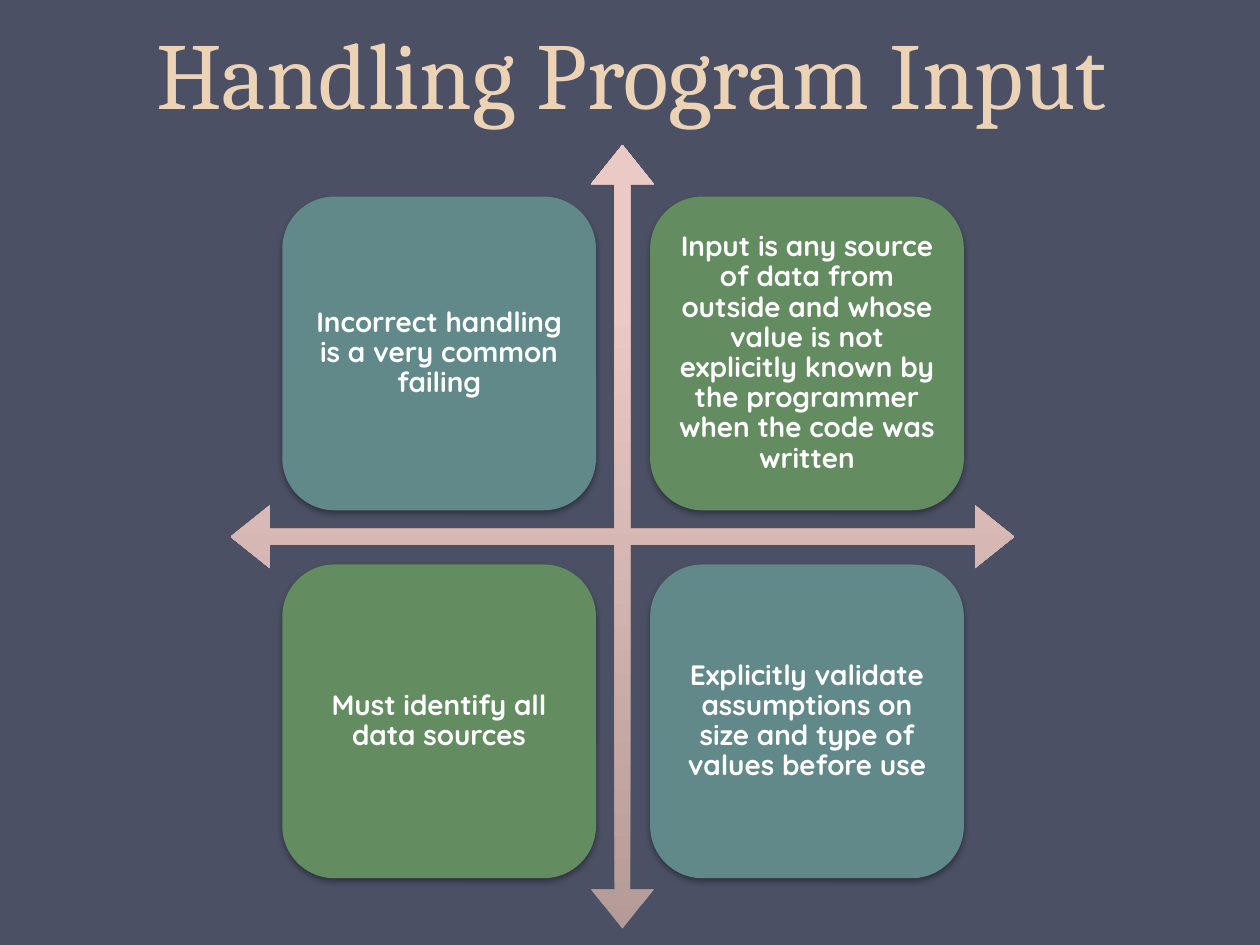
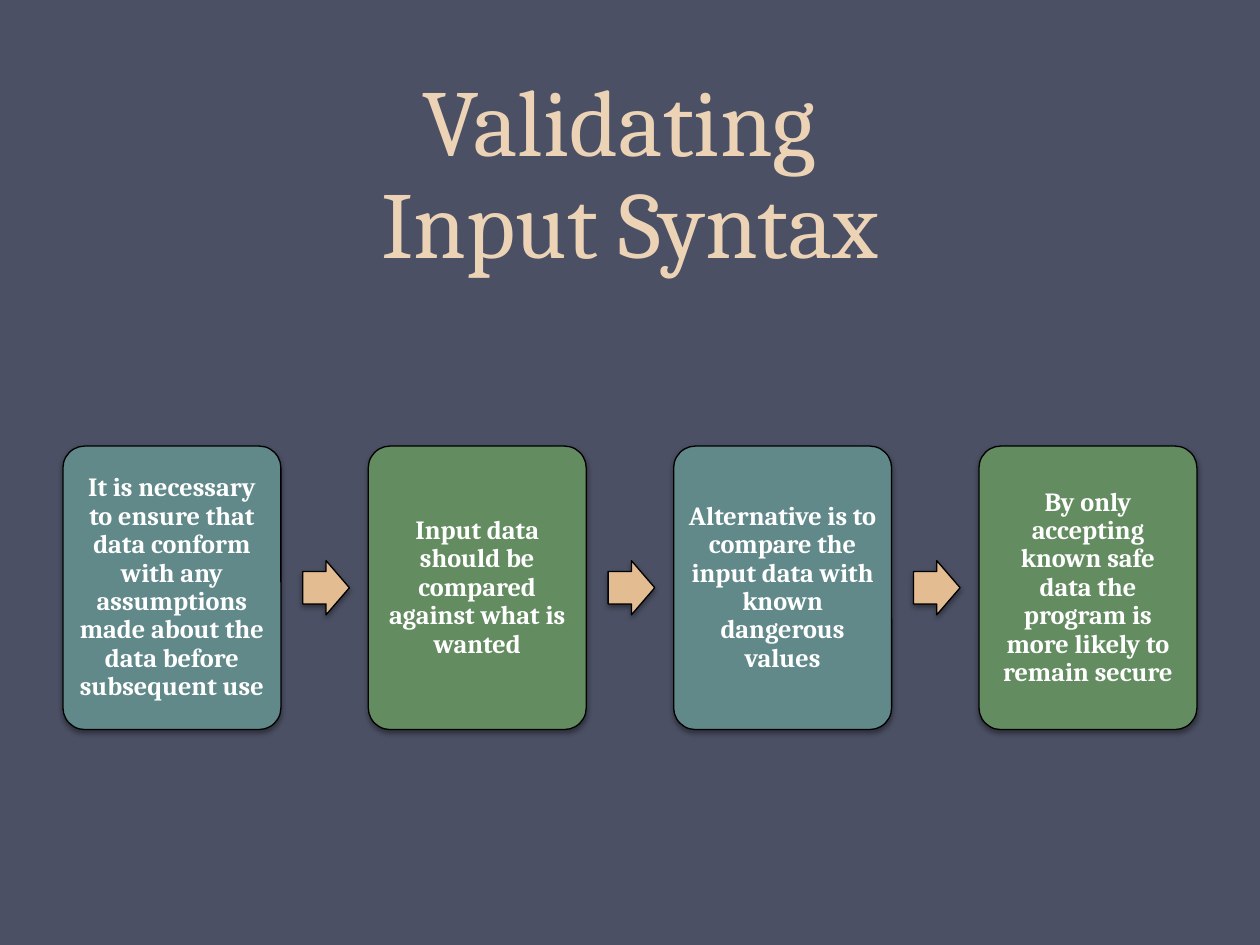
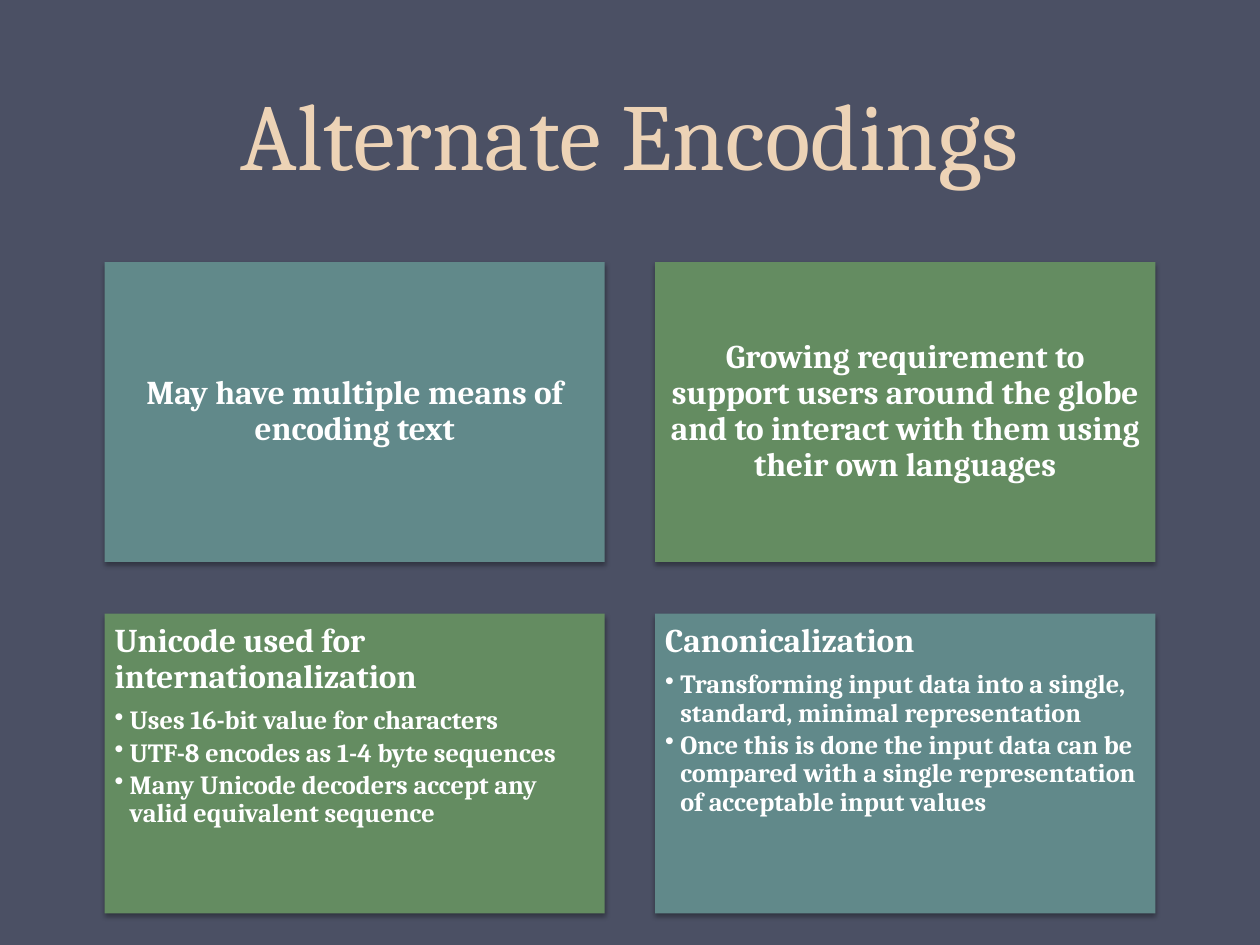
from dataclasses import dataclass

from lxml.etree import SubElement
from pptx import Presentation
from pptx.dml.color import RGBColor
from pptx.enum.shapes import MSO_SHAPE
from pptx.enum.text import MSO_ANCHOR, PP_ALIGN
from pptx.oxml.ns import qn
from pptx.util import Inches, Pt


@dataclass(frozen=True)
class Theme:
    """Colours, fonts and type sizes shared by all slides."""

    background: str = "4B5064"
    title: str = "EDD3B6"
    text: str = "FFFFFF"
    outline: str = "000000"
    arrow: str = "E3BC92"
    cards: tuple = ("61898A", "648C61")
    axes: tuple = ((0, "B59B97"), (80, "EBC9C5"), (100, "EDC9C5"))
    serif: str = "Cambria"
    sans: str = "Quicksand"
    title_size: int = 54
    title_leading: int = 58
    quadrant_size: int = 16
    step_size: int = 15
    panel_size: int = 19
    bullet_size: int = 15


def write(frame, text, *, size, color, font, bold=True, align=PP_ALIGN.CENTER,
          leading=0.9, after=0, bullet=False, first=False):
    """Write one paragraph, with a line break at each newline."""
    para = frame.paragraphs[0] if first else frame.add_paragraph()
    para.alignment = align
    para.line_spacing = leading
    para.space_after = Pt(after)
    if bullet:
        para.level = 1
        properties = para._p.get_or_add_pPr()
        properties.set("marL", str(Inches(0.12)))
        properties.set("indent", str(-Inches(0.12)))
        SubElement(properties, qn("a:buChar"), char="•")
    for number, line in enumerate(text.split("\n")):
        if number:
            para.add_line_break()
        span = para.add_run()
        span.text = line
        span.font.size = Pt(size)
        span.font.name = font
        span.font.bold = bold
        span.font.color.rgb = RGBColor.from_string(color)


class SlideBuilder:
    """Holds the theme, the deck and the slide being built."""

    def __init__(self, theme):
        """Start an empty 10 by 7.5 inch deck."""
        self.theme = theme
        self.deck = Presentation()
        self.deck.slide_width, self.deck.slide_height = Inches(10), Inches(7.5)
        self.page = None

    def new_page(self, title, left, top, width, height):
        """Add a slide with its background and title."""
        theme = self.theme
        self.page = self.deck.slides.add_slide(self.deck.slide_layouts[6])
        fill = self.page.background.fill
        fill.solid()
        fill.fore_color.rgb = RGBColor.from_string(theme.background)
        box = self.page.shapes.add_textbox(*map(Inches, (left, top, width, height)))
        frame = box.text_frame
        frame.word_wrap = True
        frame.vertical_anchor = MSO_ANCHOR.BOTTOM
        write(frame, title, size=theme.title_size, color=theme.title, font=theme.serif,
              bold=False, leading=Pt(theme.title_leading), first=True)

    def shape(self, kind, place, color, adjustments=(), outlined=False, shadow=True):
        """Add a filled preset shape with an optional outline and shadow."""
        shape = self.page.shapes.add_shape(kind, *map(Inches, place))
        for index, value in enumerate(adjustments):
            shape.adjustments[index] = value
        shape.fill.solid()
        shape.fill.fore_color.rgb = RGBColor.from_string(color)
        if outlined:
            shape.line.color.rgb = RGBColor.from_string(self.theme.outline)
            shape.line.width = Pt(0.75)
        else:
            shape.line.fill.background()
        shape.shadow.inherit = False
        if shadow:
            self.cast_shadow(shape, 38 if outlined else 35, 1.6 if outlined else 1.8)
        return shape

    def cast_shadow(self, shape, opacity, distance):
        """Give a shape a soft shadow straight below it."""
        effects = shape._element.spPr.find(qn("a:effectLst"))
        outer = SubElement(effects, qn("a:outerShdw"), blurRad=str(Pt(3.1)),
                           dist=str(Pt(distance)), dir="5400000", rotWithShape="0")
        color = SubElement(outer, qn("a:srgbClr"), val=self.theme.outline)
        SubElement(color, qn("a:alpha"), val=str(opacity * 1000))

    def axes(self, left, top, size):
        """Add the crossed arrows with a gradient rising from the bottom."""
        cross = self.shape(MSO_SHAPE.QUAD_ARROW, (left, top, size, size),
                           self.theme.axes[0][1], (0.02, 0.04, 0.05), shadow=False)
        solid = cross._element.spPr.find(qn("a:solidFill"))
        gradient = solid.makeelement(qn("a:gradFill"), {"rotWithShape": "1"})
        stops = SubElement(gradient, qn("a:gsLst"))
        for position, color in self.theme.axes:
            stop = SubElement(stops, qn("a:gs"), pos=str(position * 1000))
            SubElement(stop, qn("a:srgbClr"), val=color)
        SubElement(gradient, qn("a:lin"), ang="16200000", scaled="0")
        solid.getparent().replace(solid, gradient)

    def card(self, kind, place, tone, text, size, font, inset, bullets=(), **look):
        """Add a card with centred text, or a heading above bullets."""
        theme = self.theme
        shape = self.shape(kind, place, theme.cards[tone % 2], **look)
        frame = shape.text_frame
        frame.word_wrap = True
        frame.margin_left = frame.margin_right = Inches(inset)
        frame.margin_top = frame.margin_bottom = Inches(inset)
        frame.vertical_anchor = MSO_ANCHOR.TOP if bullets else MSO_ANCHOR.MIDDLE
        style = {"color": theme.text, "font": font,
                 "align": PP_ALIGN.LEFT if bullets else PP_ALIGN.CENTER}
        write(frame, text, size=size, after=0.35 * size, first=True, **style)
        for bullet in bullets:
            write(frame, bullet, size=theme.bullet_size, after=0.15 * theme.bullet_size,
                  bullet=True, **style)


def build_input_page(builder):
    """Build the four quadrants around crossed arrows."""
    theme = builder.theme
    builder.new_page("Handling Program Input", 0.51, -0.58, 9, 1.65)
    builder.axes(1.83, 1.15, 6.22)
    quadrants = (
        "Incorrect handling is a very common failing",
        "Input is any source of data from outside and whose value is not explicitly "
        "known by the programmer when the code was written",
        "Must identify all data sources",
        "Explicitly validate assumptions on size and type of values before use",
    )
    for index, text in enumerate(quadrants):
        row, column = divmod(index, 2)
        place = (2.24 + 2.92 * column, 1.56 + 2.92 * row, 2.49, 2.49)
        builder.card(MSO_SHAPE.ROUNDED_RECTANGLE, place, row + column, text,
                     theme.quadrant_size, theme.sans, 0.07)


def build_syntax_page(builder):
    """Build the row of steps joined by block arrows."""
    theme = builder.theme
    builder.new_page("Validating \nInput Syntax", 0, 1, 10, 1.25)
    steps = (
        "It is necessary to ensure that data conform with any assumptions made about "
        "the data before subsequent use",
        "Input data should be compared against what is wanted",
        "Alternative is to compare the input data with known dangerous values",
        "By only accepting known safe data the program is more likely to remain secure",
    )
    width = 1.73
    pitch = (9 - width) / (len(steps) - 1)
    for index, text in enumerate(steps):
        left = 0.5 + pitch * index
        if index:
            builder.shape(MSO_SHAPE.RIGHT_ARROW, (left - 0.52, 4.45, 0.37, 0.43),
                          theme.arrow, (0.6, 0.5), outlined=True)
        builder.card(MSO_SHAPE.ROUNDED_RECTANGLE, (left, 3.54, width, 2.25), index, text,
                     theme.step_size, theme.serif, 0.06, adjustments=(0.1,), outlined=True)


def build_encodings_page(builder):
    """Build the two by two grid of panels."""
    theme = builder.theme
    builder.new_page("Alternate Encodings", 0.5, 0, 9, 1.55)
    panels = (
        ("May have multiple means of encoding text", ()),
        ("Growing requirement to support users around the globe and to interact with "
         "them using their own languages", ()),
        ("Unicode used for internationalization", (
            "Uses 16-bit value for characters",
            "UTF-8 encodes as 1-4 byte sequences",
            "Many Unicode decoders accept any valid equivalent sequence",
        )),
        ("Canonicalization", (
            "Transforming input data into a single, standard, minimal representation",
            "Once this is done the input data can be compared with a single "
            "representation of acceptable input values",
        )),
    )
    for index, (text, bullets) in enumerate(panels):
        row, column = divmod(index, 2)
        place = (0.83 + 4.37 * column, 2.08 + 2.79 * row, 3.97, 2.38)
        builder.card(MSO_SHAPE.RECTANGLE, place, row + column, text,
                     theme.panel_size, theme.serif, 0.08, bullets)


def main():
    """Build the deck and save it."""
    builder = SlideBuilder(Theme())
    build_input_page(builder)
    build_syntax_page(builder)
    build_encodings_page(builder)
    builder.deck.save("out.pptx")


if __name__ == "__main__":
    main()
